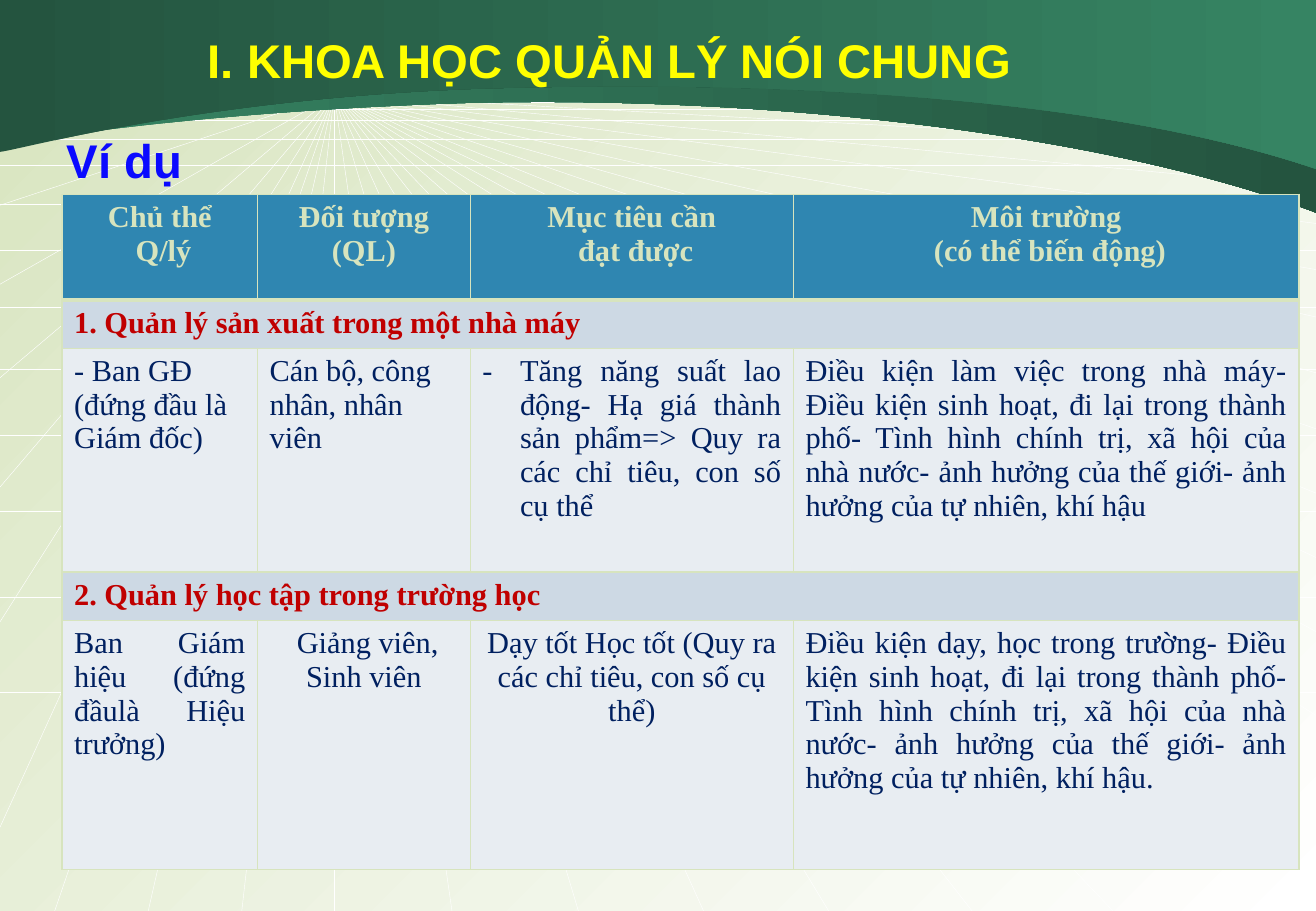
from lxml.etree import SubElement
from pptx import Presentation
from pptx.dml.color import RGBColor
from pptx.enum.shapes import MSO_CONNECTOR as Connector
from pptx.enum.text import MSO_ANCHOR as Anchor, MSO_AUTO_SIZE as AutoSize, PP_ALIGN as Align
from pptx.oxml.ns import qn
from pptx.util import Inches, Pt

WIDTH, HEIGHT = 10.83, 7.5
WHITE = RGBColor(0xFF, 0xFF, 0xFF)
PALE_GREEN = RGBColor(0xD7, 0xE4, 0xBE)
DARK_GREEN = RGBColor(0x24, 0x54, 0x3F)
GREEN = RGBColor(0x36, 0x84, 0x63)
YELLOW = RGBColor(0xFF, 0xFF, 0x00)
BLUE = RGBColor(0x0A, 0x0A, 0xFF)
HEADER_BLUE = RGBColor(0x2F, 0x86, 0xB1)
SECTION_GREY = RGBColor(0xCD, 0xD9, 0xE4)
ROW_GREY = RGBColor(0xE8, 0xED, 0xF2)
RED = RGBColor(0xC0, 0x00, 0x00)
NAVY = RGBColor(0x00, 0x20, 0x60)

HUB = (2.75, 0.78)
RAYS_RIGHT = [1, 1.23, 1.54, 1.84, 2.22, 2.61, 3.07, 3.53, 4.06, 4.59, 5.2, 5.89, 6.8]
RAYS_BOTTOM = [0.45, 1.22, 1.99, 2.75, 3.72, 4.76, 5.79, 6.82, 8, 9.16, 10.4]
RAYS_LEFT = [0.78, 0.97, 1.16, 1.69, 2.34, 3.11, 4.01, 5.12, 6.81]
LEVELS = [0.84, 0.9, 0.99, 1.15, 1.36, 1.68, 2.06, 2.53, 3.04, 3.58, 4.21, 4.92, 5.7]

LOWER_ARC = [(0, 1.19), (0.12, 1.18), (1.44, 0.93), (3.76, 0.85),
             (6.08, 0.78), (9, 1.06), (WIDTH, 1.75)]
UPPER_ARC = [(0, 1.25), (0.14, 1.24), (1.65, 0.81), (3.95, 0.73),
             (6.25, 0.66), (9, 0.77), (WIDTH, 1.39)]

COLUMNS = [1.61, 1.75, 2.66, 4.16]
ROWS = [0.87, 0.4, 1.84, 0.4, 2.05]
HEADERS = [["Chủ thể", " Q/lý"], ["Đối tượng (QL)"], ["Mục tiêu cần", " đạt được"],
           ["Môi trường", " (có thể biến động)"]]
SECTIONS = {1: "1. Quản lý sản xuất trong một nhà máy ", 3: "2. Quản lý học tập trong trường học "}
DETAILS = {
    2: [("- Ban GĐ (đứng đầu là Giám đốc)", Align.LEFT),
        ("Cán bộ, công nhân, nhân viên", Align.LEFT),
        ("Tăng năng suất lao động- Hạ giá thành sản phẩm=> Quy ra các chỉ tiêu, con số cụ thể",
         Align.JUSTIFY),
        ("Điều kiện làm việc trong nhà máy- Điều kiện sinh hoạt, đi lại trong thành phố- "
         "Tình hình chính trị, xã hội của nhà nước- ảnh hưởng của thế giới- "
         "ảnh hưởng của tự nhiên, khí hậu", Align.JUSTIFY)],
    4: [("Ban Giám hiệu (đứng đầulà Hiệu trưởng)", Align.JUSTIFY),
        (" Giảng viên, Sinh viên", Align.CENTER),
        ("Dạy tốt Học tốt (Quy ra các chỉ tiêu, con số cụ thể)", Align.CENTER),
        ("Điều kiện dạy, học trong trường- Điều kiện sinh hoạt, đi lại trong thành phố- "
         "Tình hình chính trị, xã hội của nhà nước- ảnh hưởng của thế giới- "
         "ảnh hưởng của tự nhiên, khí hậu.", Align.JUSTIFY)],
}


def write(frame, *lines, size=18, font="Times New Roman", color=NAVY, bold=False, align=Align.LEFT):
    frame.word_wrap = True
    for number, line in enumerate(lines):
        para = frame.add_paragraph() if number else frame.paragraphs[0]
        para.alignment = align
        para.space_before = Pt(0)
        span = para.add_run()
        span.text = line
        span.font.size, span.font.name, span.font.bold = Pt(size), font, bold
        span.font.color.rgb = color


def set_bullet(para, indent=0, mark=None):
    props = para._p.get_or_add_pPr()
    props.set("marL", str(Inches(indent)))
    props.set("indent", str(Inches(-indent)))
    if mark:
        SubElement(props, qn("a:buFont")).set("typeface", "Times New Roman")
        SubElement(props, qn("a:buChar")).set("char", mark)
    else:
        SubElement(props, qn("a:buNone"))


def set_gradient(fill, first, last, angle=0):
    fill.gradient()
    fill.gradient_angle = angle
    for stop, color, position in zip(fill.gradient_stops, (first, last), (0, 1)):
        stop.color.rgb = color
        stop.position = position


def bend(segments):
    for start in range(0, len(segments), 3):
        first, *others = segments[start:start + 3]
        first.tag = qn("a:cubicBezTo")
        for segment in others:
            first.append(segment[0])
            segment.getparent().remove(segment)


class Page:
    def __init__(self, deck):
        self.slide = deck.slides.add_slide(deck.slide_layouts[1])
        self.shapes = self.slide.shapes
        set_gradient(self.slide.background.fill, PALE_GREEN, WHITE, angle=315)

    def line(self, start, end):
        connector = self.shapes.add_connector(Connector.STRAIGHT, *map(Inches, (*start, *end)))
        connector.line.color.rgb = WHITE
        connector.line.width = Pt(0.25)
        SubElement(connector._element.spPr, qn("a:effectLst"))

    def banner(self, arc, first, last):
        builder = self.shapes.build_freeform(0, 0)
        corners = [(Inches(x), Inches(y)) for x, y in arc + [(WIDTH, 0)]]
        builder.add_line_segments(corners, close=True)
        shape = builder.convert_to_shape()
        bend(list(shape._element.iter(qn("a:lnTo")))[1:len(arc)])
        shape.shadow.inherit = False
        set_gradient(shape.fill, first, last)
        shape.line.fill.background()

    def heading(self, box, text, left, top, width, height, color, align):
        self.shapes._spTree.append(box._element)
        box.left, box.top, box.width, box.height = map(Inches, (left, top, width, height))
        frame = box.text_frame
        write(frame, text, size=28, font="Arial", color=color, bold=True, align=align)
        frame.auto_size = AutoSize.NONE
        frame.vertical_anchor = Anchor.TOP
        set_bullet(frame.paragraphs[0])

    def table(self, left, top):
        table = self.shapes.add_table(len(ROWS), len(COLUMNS), Inches(left), Inches(top),
                                      Inches(sum(COLUMNS)), Inches(sum(ROWS))).table
        for column, width in zip(table.columns, COLUMNS):
            column.width = Inches(width)
        for row, height in zip(table.rows, ROWS):
            row.height = Inches(height)
        return table

    def cell(self, cell, fill, top=1, bottom=1):
        props = cell._tc.get_or_add_tcPr()
        for side, width in (("L", 1), ("R", 1), ("T", top), ("B", bottom)):
            border = SubElement(props, qn(f"a:ln{side}"))
            border.set("w", str(Pt(width)))
            solid = SubElement(border, qn("a:solidFill"))
            SubElement(solid, qn("a:srgbClr")).set("val", str(PALE_GREEN))
        cell.fill.solid()
        cell.fill.fore_color.rgb = fill


def main():
    deck = Presentation()
    deck.slide_width, deck.slide_height = Inches(WIDTH), Inches(HEIGHT)
    page = Page(deck)

    ends = [(WIDTH, y) for y in RAYS_RIGHT] + [(x, HEIGHT) for x in RAYS_BOTTOM]
    for end in ends + [(0, y) for y in RAYS_LEFT]:
        page.line(HUB, end)
    for level in LEVELS:
        page.line((0, level), (WIDTH, level))
    page.banner(LOWER_ARC, GREEN, DARK_GREEN)
    page.banner(UPPER_ARC, DARK_GREEN, GREEN)

    title, body = page.shapes.title, page.slide.placeholders[1]
    page.heading(title, "I. KHOA HỌC QUẢN LÝ NÓI CHUNG", 0.45, 0.21, 9.13, 0.57, YELLOW, Align.CENTER)
    page.heading(body, "Ví dụ", 0.45, 1.03, 7.56, 0.57, BLUE, Align.JUSTIFY)

    table = page.table(0.51, 1.6)
    for column, lines in enumerate(HEADERS):
        cell = table.cell(0, column)
        page.cell(cell, HEADER_BLUE, bottom=3)
        write(cell.text_frame, *lines, color=PALE_GREEN, bold=True, align=Align.CENTER)
    for row, text in SECTIONS.items():
        table.cell(row, 0).merge(table.cell(row, len(COLUMNS) - 1))
        for column in range(len(COLUMNS)):
            page.cell(table.cell(row, column), SECTION_GREY, top=3 if row == 1 else 1)
        write(table.cell(row, 0).text_frame, text, color=RED, bold=True)
    for row, entries in DETAILS.items():
        for column, (text, align) in enumerate(entries):
            cell = table.cell(row, column)
            page.cell(cell, ROW_GREY)
            write(cell.text_frame, text, align=align)
    set_bullet(table.cell(2, 2).text_frame.paragraphs[0], 0.31, "-")

    deck.save("out.pptx")


if __name__ == "__main__":
    main()
